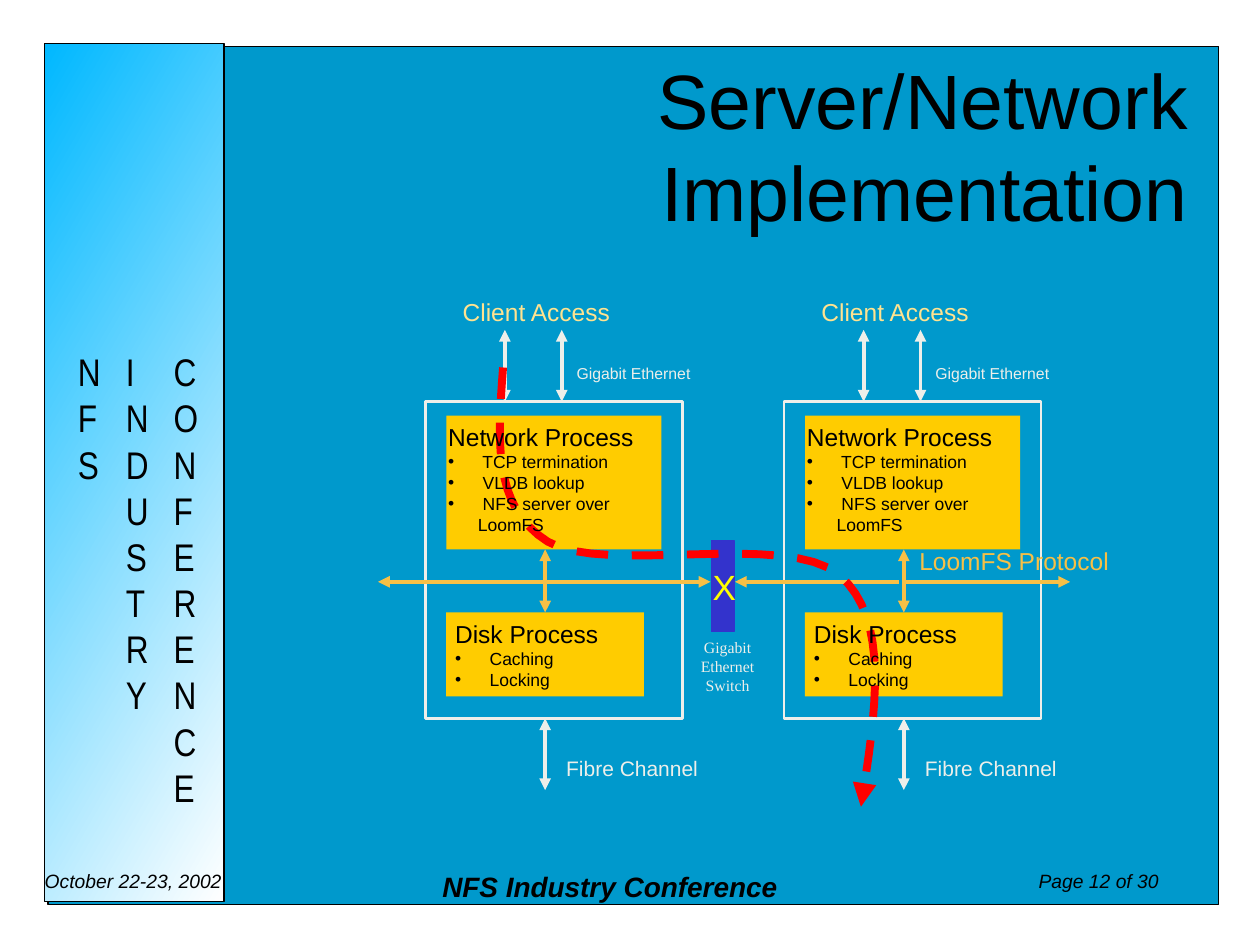
"""Build the Server/Network Implementation slide."""
from lxml import etree
from pptx import Presentation
from pptx.dml.color import RGBColor
from pptx.enum.dml import MSO_LINE
from pptx.enum.shapes import MSO_CONNECTOR, MSO_SHAPE
from pptx.enum.text import PP_ALIGN
from pptx.oxml.ns import qn
from pptx.util import Pt

LEFT, CENTER, RIGHT = PP_ALIGN.LEFT, PP_ALIGN.CENTER, PP_ALIGN.RIGHT
RECT, STRAIGHT, DASH = MSO_SHAPE.RECTANGLE, MSO_CONNECTOR.STRAIGHT, MSO_LINE.DASH
BLACK, PALE, GOLD, BOX, CREAM = "000000", "EDEFEA", "F7C046", "FFCC00", "FFE390"
INSET, NARROW_INSET = (7.2, 3.6), (6.5, 3)

TITLE = "Server/Network Implementation"
SIDEBAR_WORDS = ["NFS", "INDUSTRY", "CONFERENCE"]
FOOTERS = [
    ("October 22-23, 2002", (25.5, 497, 110, 13), 11, False, LEFT),
    ("NFS Industry Conference", (238.5, 497, 220, 19), 16, True, CENTER),
    ("Page 12 of 30", (593.5, 497, 85, 13), 11, False, LEFT),
]
SERVER_LEFTS = [0, 205]
FRAME = (243, 229.5, 147, 181)
NETWORK_BOX = (255, 237.5, 123, 76.5)
DISK_BOX = (255, 350, 113, 48)
SERVER_ARROWS = [(288.5, 188.5, 229.5), (321, 188.5, 229.5), (311.5, 410.5, 451.5)]
SERVER_LABELS = [
    ("Client Access", (252, 166, 109, 24), 14, CREAM, CENTER),
    ("Gigabit Ethernet", (312, 204.5, 100, 20), 9, PALE, CENTER),
    ("Fibre Channel", (316.5, 428, 100, 24), 12, PALE, LEFT),
]
PROCESSES = [
    ("Network Process", [" TCP termination", " VLDB lookup", " NFS server over LoomFS"],
     (249, 237.5, 131, 60)),
    ("Disk Process", [" Caching", " Locking"], (253, 350, 114, 48)),
]
SWITCH = (406.5, 309, 13, 52)
SWITCH_LABELS = [
    (["X"], (400, 319.5, 28, 32), 20, "FFFF00", "Arial"),
    (["Gigabit", "Ethernet", "Switch"], (388, 361, 55.5, 40), 9, PALE, "Times New Roman"),
]
PROTOCOL = ("LoomFS Protocol", (509.5, 308.5, 140, 24), 14, GOLD, CENTER)
PROTOCOL_Y = 332.5
PROTOCOL_ARROWS = [(310.5, 216), (312.5, 406), (514, 420), (517, 611.5)]
PATH_START = (287.5, 210)
PATH_CURVES = [
    ((284.5, 250), (281, 289.5), (313, 309.5)),
    ((345, 329), (449.5, 303), (479.5, 328.5)),
    ((509, 353.5), (500.5, 407), (492, 461)),
]


def rgb(value):
    return RGBColor.from_string(value)


def shifted(box, dx):
    return (box[0] + dx, *box[1:])


def add_rect(s, box, fill=None, line=None, width=0.75):
    sp = s.shapes.add_shape(RECT, *map(Pt, box))
    sp.shadow.inherit = False
    if fill:
        sp.fill.solid()
        sp.fill.fore_color.rgb = rgb(fill)
    else:
        sp.fill.background()
    if line:
        sp.line.color.rgb = rgb(line)
        sp.line.width = Pt(width)
    else:
        sp.line.fill.background()
    return sp


def add_heads(sp, ends):
    ln = sp.line._get_or_add_ln()
    for end in ends:
        etree.SubElement(ln, qn(f"a:{end}"), type="triangle")


def add_arrow(s, x1, y1, x2, y2, color, ends):
    c = s.shapes.add_connector(STRAIGHT, *map(Pt, (x1, y1, x2, y2)))
    c.line.color.rgb = rgb(color)
    c.line.width = Pt(2.25)
    add_heads(c, ends)
    etree.SubElement(c._element.spPr, qn("a:effectLst"))
    return c


def add_frame(s, box, inset=INSET):
    tf = s.shapes.add_textbox(*map(Pt, box)).text_frame
    tf.word_wrap = True
    tf.margin_left = tf.margin_right = Pt(inset[0])
    tf.margin_top = tf.margin_bottom = Pt(inset[1])
    return tf


def add_run(p, text, size, color=BLACK, font="Arial", bold=False, italic=False):
    r = p.add_run()
    r.text = text
    r.font.size, r.font.name = Pt(size), font
    r.font.bold, r.font.italic = bold, italic
    r.font.color.rgb = rgb(color)


def add_label(s, text, box, size, color, align):
    p = add_frame(s, box).paragraphs[0]
    p.alignment = align
    add_run(p, text, size, color)


def add_process(s, heading, items, box):
    tf = add_frame(s, box)
    add_run(tf.paragraphs[0], heading, 14)
    for item in items:
        p = tf.add_paragraph()
        pPr = p._p.get_or_add_pPr()
        pPr.set("marL", str(Pt(17)))
        pPr.set("indent", str(-Pt(17)))
        etree.SubElement(pPr, qn("a:buFont"), typeface="Arial")
        etree.SubElement(pPr, qn("a:buChar"), char="•")
        add_run(p, item, 10)


def curve_points(start, curves, steps=16):
    points = []
    for c1, c2, end in curves:
        for i in range(1, steps + 1):
            t = i / steps
            u = 1 - t
            points.append(tuple(
                Pt(u**3 * a + 3 * u * u * t * b + 3 * u * t * t * c + t**3 * d)
                for a, b, c, d in zip(start, c1, c2, end)))
        start = end
    return points


def add_backdrop(s):
    add_rect(s, (27.5, 26.5, 669, 490.5), "0099CC", BLACK)
    side = add_rect(s, (25.5, 25, 102.5, 490), "00B8FF", BLACK)
    side.fill.gradient()
    side.fill.gradient_angle = 330
    for stop, color in zip(side.fill.gradient_stops, ("00B8FF", "FFFFFF")):
        stop.color.rgb = rgb(color)
    for text, box, size, bold, align in FOOTERS:
        p = add_frame(s, box, (0, 0)).paragraphs[0]
        p.alignment = align
        add_run(p, text, size, bold=bold, italic=True)
    for i, word in enumerate(SIDEBAR_WORDS):
        tf = add_frame(s, (38 + 27.4 * i, 196, 28, 260), NARROW_INSET)
        add_run(tf.paragraphs[0], word, 22, font="Arial Narrow")
    p = add_frame(s, (265, 30.5, 414, 106), (0, 0)).paragraphs[0]
    p.alignment = RIGHT
    p.line_spacing = Pt(52.5)
    add_run(p, TITLE, 44)


def add_server(s, dx):
    both = ("headEnd", "tailEnd")
    add_rect(s, shifted(NETWORK_BOX, dx), BOX)
    disk = add_rect(s, shifted(DISK_BOX, dx), BOX)
    add_rect(s, shifted(FRAME, dx), line=PALE, width=1.5)
    for x, top, bottom in SERVER_ARROWS:
        add_arrow(s, x + dx, top, x + dx, bottom, PALE, both)
    x = 311.5 + dx
    link = add_arrow(s, x, 314, x, 350, GOLD, both)
    link.end_connect(disk, 0)
    for text, box, *style in SERVER_LABELS:
        add_label(s, text, shifted(box, dx), *style)


def main():
    prs = Presentation()
    prs.slide_width, prs.slide_height = Pt(720), Pt(540)
    s = prs.slides.add_slide(prs.slide_layouts[6])
    add_backdrop(s)
    for dx in SERVER_LEFTS:
        add_server(s, dx)
    add_rect(s, SWITCH, "3333CC", "3333CC")
    for lines, box, size, color, font in SWITCH_LABELS:
        tf = add_frame(s, box)
        for i, line in enumerate(lines):
            p = tf.add_paragraph() if i else tf.paragraphs[0]
            p.alignment = CENTER
            add_run(p, line, size, color, font)
    for x1, x2 in PROTOCOL_ARROWS:
        add_arrow(s, x1, PROTOCOL_Y, x2, PROTOCOL_Y, GOLD, ["tailEnd"])
    add_label(s, *PROTOCOL)
    builder = s.shapes.build_freeform(*map(Pt, PATH_START))
    builder.add_line_segments(curve_points(PATH_START, PATH_CURVES), close=False)
    request = builder.convert_to_shape()
    request.shadow.inherit = False
    request.fill.background()
    request.line.color.rgb = rgb("FF0000")
    request.line.width = Pt(4.5)
    request.line.dash_style = DASH
    add_heads(request, ["tailEnd"])
    for dx in SERVER_LEFTS:
        for heading, items, box in PROCESSES:
            add_process(s, heading, items, shifted(box, dx))
    prs.save("out.pptx")


if __name__ == "__main__":
    main()
